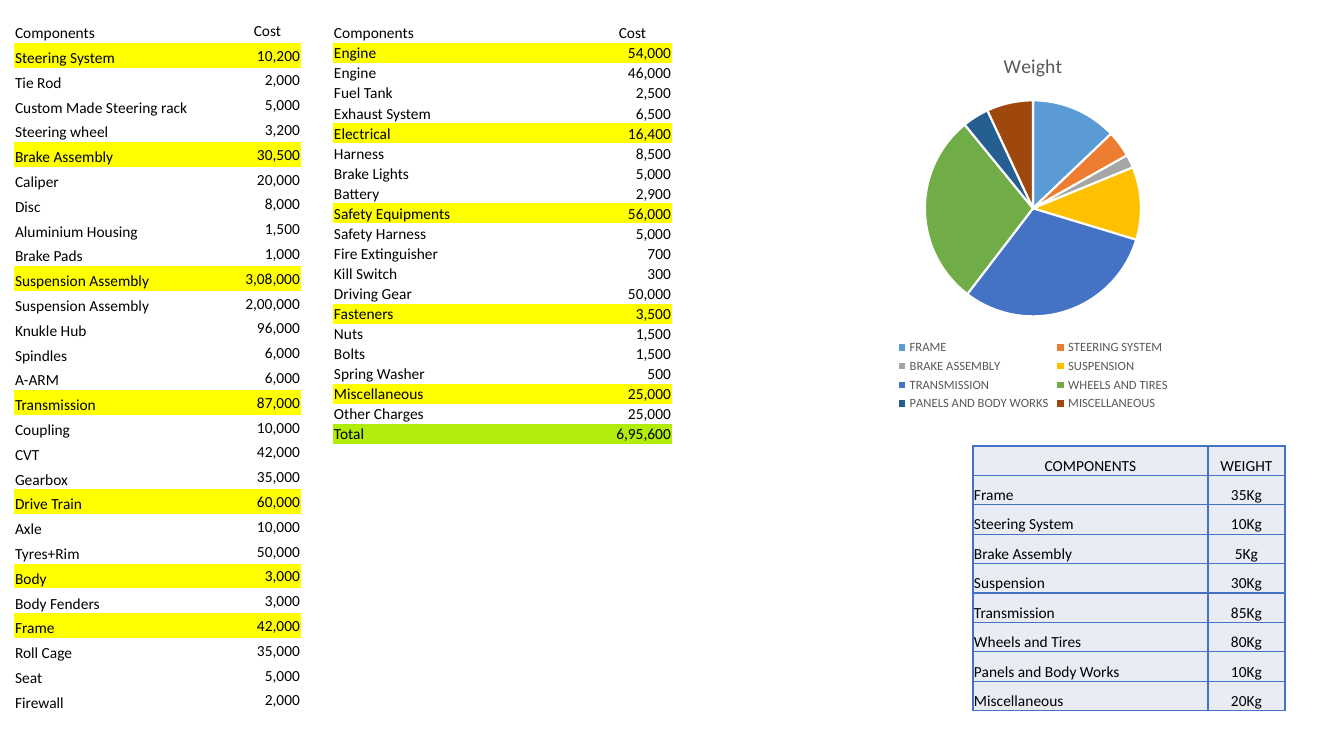
"""Build a vehicle cost and weight slide with two cost tables, a pie chart and a weight table."""
from lxml.etree import SubElement
from pptx import Presentation
from pptx.chart.data import CategoryChartData
from pptx.dml.color import RGBColor
from pptx.enum.chart import XL_CHART_TYPE as ChartType, XL_LEGEND_POSITION as LegendPosition
from pptx.enum.text import MSO_ANCHOR as Anchor, PP_ALIGN as Align
from pptx.oxml import parse_xml
from pptx.oxml.ns import nsdecls, qn
from pptx.util import Pt

PX = 914400 / 100.8
FONT = "Calibri"
PLAIN_STYLE = "{2D5ABB26-0587-4C30-8999-92F81FD0307C}"
BLACK = RGBColor(0x00, 0x00, 0x00)
WHITE = RGBColor(0xFF, 0xFF, 0xFF)
GRAY = RGBColor(0x59, 0x59, 0x59)
YELLOW = RGBColor(0xFF, 0xFF, 0x00)
LIME = RGBColor(0xB2, 0xEC, 0x0A)
PALE_BLUE = RGBColor(0xE9, 0xEB, 0xF5)
BLUE = RGBColor(0x44, 0x72, 0xC4)

LEFT_GROUPS = [
    ("Steering System", "10,200", [
        ("Tie Rod", "2,000"), ("Custom Made Steering rack", "5,000"), ("Steering wheel", "3,200")]),
    ("Brake Assembly", "30,500", [
        ("Caliper", "20,000"), ("Disc", "8,000"), ("Aluminium Housing", "1,500"), ("Brake Pads", "1,000")]),
    ("Suspension Assembly", "3,08,000", [
        ("Suspension Assembly", "2,00,000"), ("Knukle Hub", "96,000"), ("Spindles", "6,000"), ("A-ARM", "6,000")]),
    ("Transmission", "87,000", [("Coupling", "10,000"), ("CVT", "42,000"), ("Gearbox", "35,000")]),
    ("Drive Train", "60,000", [("Axle", "10,000"), ("Tyres+Rim", "50,000")]),
    ("Body", "3,000", [("Body Fenders", "3,000")]),
    ("Frame", "42,000", [("Roll Cage", "35,000"), ("Seat", "5,000"), ("Firewall", "2,000")]),
]
RIGHT_GROUPS = [
    ("Engine", "54,000", [("Engine", "46,000"), ("Fuel Tank", "2,500"), ("Exhaust System", "6,500")]),
    ("Electrical", "16,400", [("Harness", "8,500"), ("Brake Lights", "5,000"), ("Battery", "2,900")]),
    ("Safety Equipments", "56,000", [
        ("Safety Harness", "5,000"), ("Fire Extinguisher", "700"), ("Kill Switch", "300"),
        ("Driving Gear", "50,000")]),
    ("Fasteners", "3,500", [("Nuts", "1,500"), ("Bolts", "1,500"), ("Spring Washer", "500")]),
    ("Miscellaneous", "25,000", [("Other Charges", "25,000")]),
]
WEIGHTS = [
    ("COMPONENTS", "WEIGHT"), ("Frame", "35Kg"), ("Steering System", "10Kg"), ("Brake Assembly", "5Kg"),
    ("Suspension", "30Kg"), ("Transmission", "85Kg"), ("Wheels and Tires", "80Kg"),
    ("Panels and Body Works", "10Kg"), ("Miscellaneous", "20Kg"),
]
WEIGHT_SHARES = [
    ("FRAME", 13, RGBColor(0x5B, 0x9B, 0xD5)),
    ("STEERING SYSTEM", 4, RGBColor(0xED, 0x7D, 0x31)),
    ("BRAKE ASSEMBLY", 2, RGBColor(0xA5, 0xA5, 0xA5)),
    ("SUSPENSION", 11, RGBColor(0xFF, 0xC0, 0x00)),
    ("TRANSMISSION", 31, BLUE),
    ("WHEELS AND TIRES", 29, RGBColor(0x70, 0xAD, 0x47)),
    ("PANELS AND BODY WORKS", 4, RGBColor(0x25, 0x5E, 0x91)),
    ("MISCELLANEOUS", 7, RGBColor(0x9E, 0x48, 0x0E)),
]


def px(length):
    return round(length * PX)


def style_font(font, size, color):
    font.name = FONT
    font.size = Pt(size)
    font.bold = False
    font.color.rgb = color


presentation = Presentation()
presentation.slide_width = px(1344)
presentation.slide_height = px(756)
slide = presentation.slides.add_slide(presentation.slide_layouts[6])

cost_tables = []
for groups in (LEFT_GROUPS, RIGHT_GROUPS):
    rows = [("Components", "Cost", None)]
    for group, subtotal, parts in groups:
        rows.append((group, subtotal, YELLOW))
        rows += [(part, cost, None) for part, cost in parts]
    cost_tables.append(rows)
left_rows, right_rows = cost_tables
right_rows.append(("Total", "6,95,600", LIME))
weight_rows = [(name, weight, PALE_BLUE) for name, weight in WEIGHTS]

TABLES = [
    (weight_rows, 973, 446, (235, 77), 265, Align.CENTER, Align.CENTER, Anchor.BOTTOM, True),
    (right_rows, 333, 23, (260, 79), 418, Align.LEFT, Align.RIGHT, Anchor.MIDDLE, False),
    (left_rows, 14, 18, (220, 67), 695, Align.LEFT, Align.RIGHT, Anchor.MIDDLE, False),
]
for rows, left, top, widths, height, header_align, value_align, value_anchor, bordered in TABLES:
    table = slide.shapes.add_table(
        len(rows), 2, px(left), px(top), px(sum(widths)), px(height)).table
    table.first_row = False
    table.horz_banding = False
    table._tbl.tblPr.find(qn("a:tableStyleId")).text = PLAIN_STYLE
    for column, width in zip(table.columns, widths):
        column.width = px(width)
    for row_index, (name, value, fill) in enumerate(rows):
        table.rows[row_index].height = px(height / len(rows))
        name_align = Align.LEFT if row_index else header_align
        amount_align = value_align if row_index else Align.CENTER
        cells = [(name, name_align, Anchor.BOTTOM), (value, amount_align, value_anchor)]
        for column_index, (text, align, anchor) in enumerate(cells):
            cell = table.cell(row_index, column_index)
            cell.margin_left = cell.margin_right = cell.margin_top = px(1)
            cell.margin_bottom = 0
            cell.vertical_anchor = anchor
            paragraph = cell.text_frame.paragraphs[0]
            paragraph.alignment = align
            run = paragraph.add_run()
            run.text = text
            style_font(run.font, 11, BLACK)
            if bordered:
                for side in ("a:lnL", "a:lnR", "a:lnT", "a:lnB"):
                    border = SubElement(cell._tc.get_or_add_tcPr(), qn(side), w=str(Pt(1)))
                    SubElement(SubElement(border, qn("a:solidFill")), qn("a:srgbClr"), val=str(BLUE))
            if fill:
                cell.fill.solid()
                cell.fill.fore_color.rgb = fill
            else:
                cell.fill.background()

chart_data = CategoryChartData()
chart_data.categories = [name for name, share, color in WEIGHT_SHARES]
chart_data.add_series("Weight", [share for name, share, color in WEIGHT_SHARES])
chart = slide.shapes.add_chart(
    ChartType.PIE, px(832), px(36), px(402), px(379), chart_data).chart
style_font(chart.font, 10, BLACK)
chart.has_title = True
title_run = chart.chart_title.text_frame.paragraphs[0].add_run()
title_run.text = "Weight"
style_font(title_run.font, 14, GRAY)
chart.has_legend = True
chart.legend.position = LegendPosition.BOTTOM
chart.legend.include_in_layout = False
style_font(chart.legend.font, 9, GRAY)

pie = chart.plots[0]
pie.vary_by_categories = True
for index, (name, share, color) in enumerate(WEIGHT_SHARES):
    slice_format = pie.series[0].points[index].format
    slice_format.fill.solid()
    slice_format.fill.fore_color.rgb = color
    slice_format.line.color.rgb = WHITE
    slice_format.line.width = Pt(1.5)

plot_area = chart._chartSpace.chart.plotArea
for layout in plot_area.findall(qn("c:layout")):
    plot_area.remove(layout)
plot_area.insert(0, parse_xml(
    f'<c:layout {nsdecls("c")}><c:manualLayout><c:layoutTarget val="inner"/>'
    '<c:xMode val="edge"/><c:yMode val="edge"/>'
    '<c:x val="0.23"/><c:y val="0.17"/><c:w val="0.54"/><c:h val="0.57"/>'
    '</c:manualLayout></c:layout>'))

presentation.save("out.pptx")
